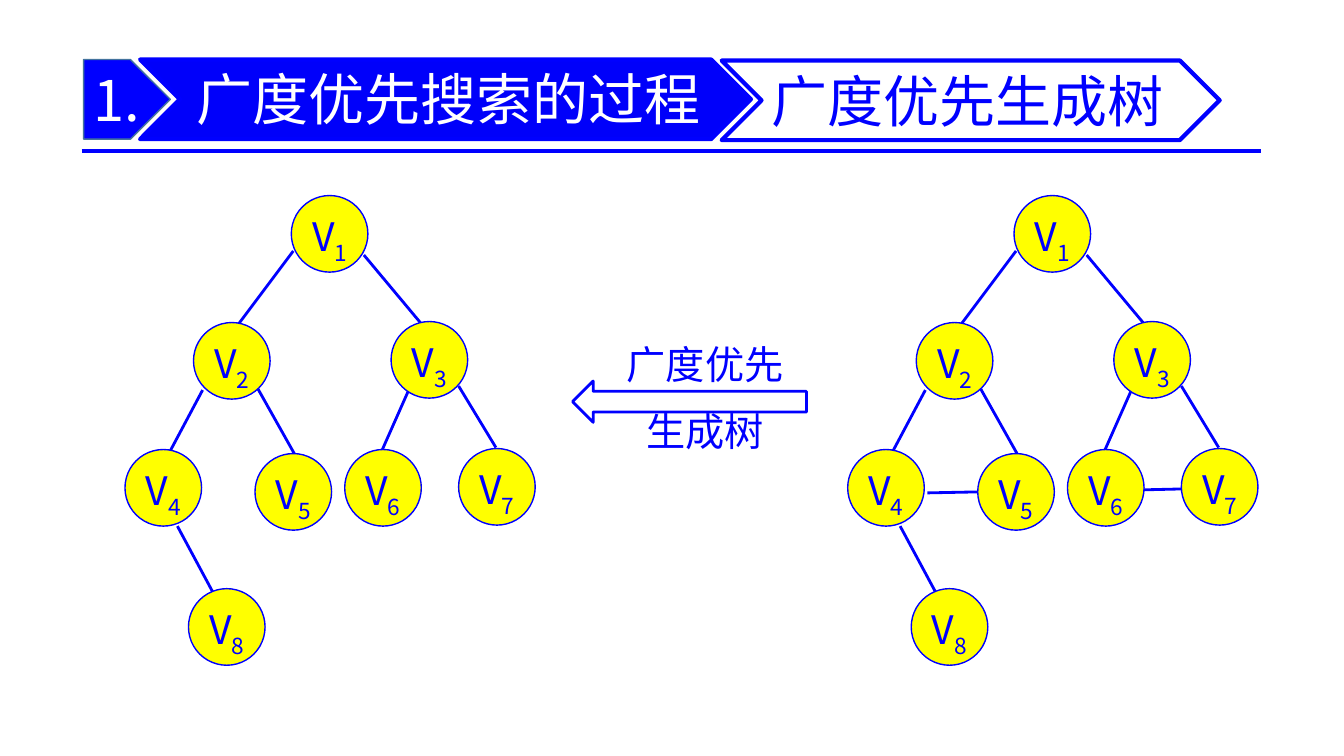
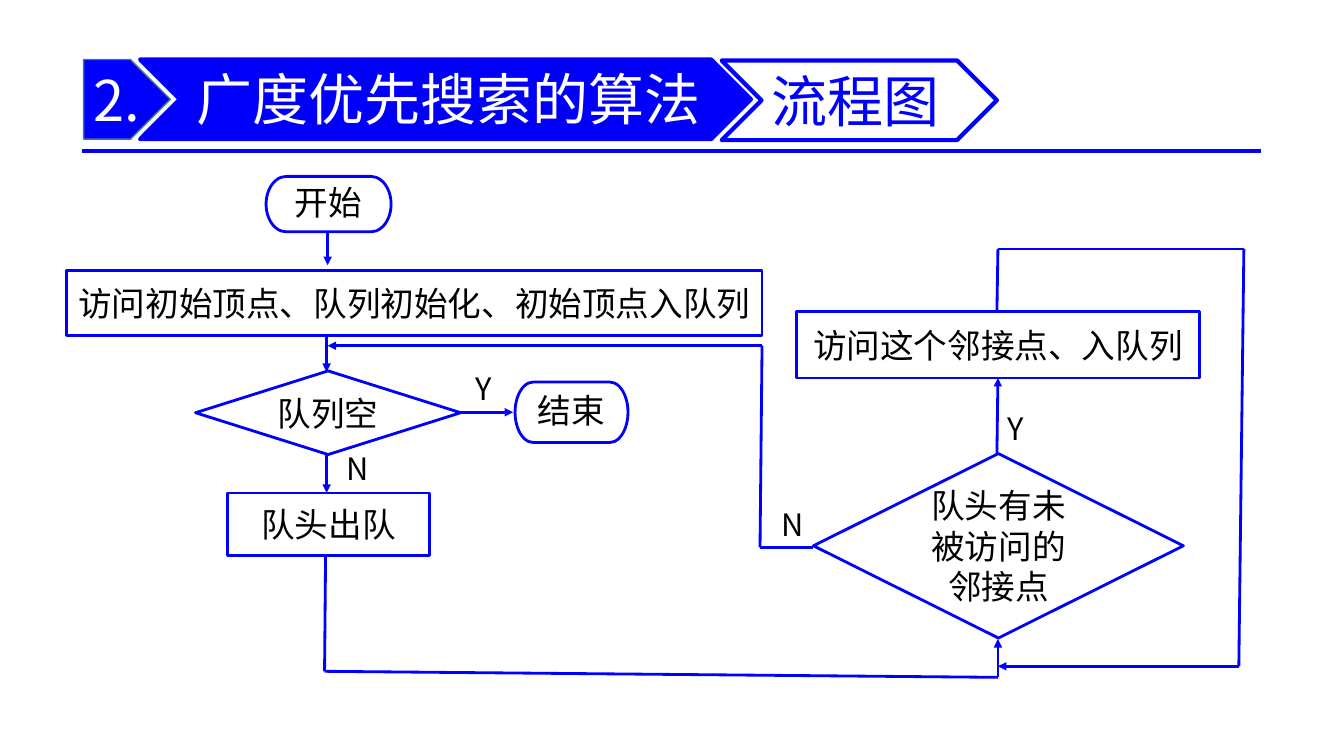
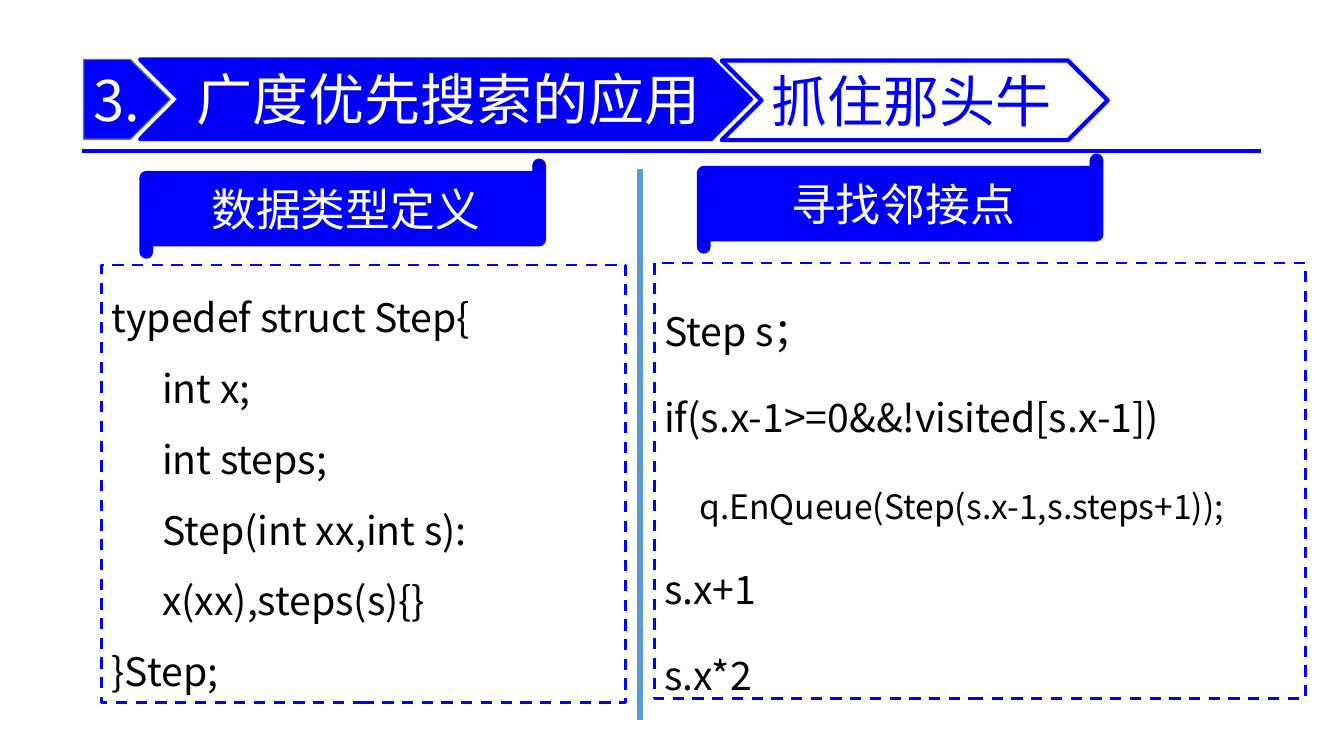
import dataclasses
import itertools
import typing

import lxml.etree
import pptx
import pptx.dml.color
import pptx.enum.dml
import pptx.enum.shapes
import pptx.enum.text
import pptx.oxml.ns
import pptx.util

COLUMNS, ROWS, CELLS_PER_INCH = 133.33, 75, 10
FONT = "Noto Sans CJK SC"
COLORS = {
    "blue": "0000FF",
    "banner": "0000FA",
    "steel": "43739E",
    "divider": "5B9BD5",
    "node": "FFFF00",
    "white": "FFFFFF",
    "black": "000000",
}
PRESET = pptx.enum.shapes.MSO_SHAPE
ALIGN = pptx.enum.text.PP_ALIGN
ANCHOR = pptx.enum.text.MSO_ANCHOR
Point = tuple[float, float]


@dataclasses.dataclass(frozen=True)
class Box:
    col: float
    row: float
    cols: float
    rows: float


@dataclasses.dataclass(frozen=True)
class Look:
    fill: str = "white"
    line: str = "blue"
    width: float = 2
    dashed: bool = False


@dataclasses.dataclass(frozen=True)
class Style:
    size: float
    color: str = "black"
    align: typing.Any = ALIGN.CENTER
    anchor: typing.Any = ANCHOR.MIDDLE
    insets: tuple[float, float, float, float] = (1, 0.5, 1, 0.5)
    spacing: typing.Any = None
    gap: float = 0


@dataclasses.dataclass(frozen=True)
class Line:
    text: str
    indent: float = 0
    size: typing.Optional[float] = None
    subscript: str = ""


@dataclasses.dataclass(frozen=True)
class Header:
    number: str
    title: str
    topic: str
    topic_cols: float


@dataclasses.dataclass(frozen=True)
class Step:
    preset: typing.Any
    box: Box
    text: str
    insets: tuple[float, float, float, float] = (1, 0.5, 1, 0.5)


@dataclasses.dataclass(frozen=True)
class Panel:
    heading: str
    scroll: Box
    frame: Box
    spacing: float
    code: list[Line]


NODES: list[Point] = [
    (28.9, 19.4), (19.2, 32), (38.8, 31.9), (12.4, 44.6),
    (25.3, 45), (34.2, 44.6), (45.5, 44.5), (18.7, 58.4),
]
NODE_SIZE = 7.6
TREE_EDGES: list[tuple[Point, Point]] = [
    ((29.1, 24.9), (23.7, 32.1)),
    ((36.1, 25.3), (41.7, 32)),
    ((20.1, 38.7), (16.8, 44.9)),
    ((25.6, 38.6), (29.2, 45)),
    ((40.5, 38.8), (37.8, 44.9)),
    ((45.5, 38.3), (49.2, 44.4)),
    ((17.6, 52.2), (21.2, 58.9)),
]
SIBLING_EDGES: list[tuple[Point, Point]] = [
    ((20.3, 48.9), (25.3, 48.8)),
    ((41.6, 48.6), (45.8, 48.5)),
]
GRAPH_SHIFT = 71.7

TERMINATOR_INSETS = (1, 0, 1, 0.5)
STEPS = [
    Step(PRESET.FLOWCHART_TERMINATOR, Box(26.4, 17.5, 12.4, 5.5), "开始", TERMINATOR_INSETS),
    Step(PRESET.FLOWCHART_PROCESS, Box(6.6, 26.8, 69, 6.5), "访问初始顶点、队列初始化、初始顶点入队列"),
    Step(PRESET.FLOWCHART_DECISION, Box(19.4, 36.8, 26.3, 8.3), "队列空"),
    Step(PRESET.FLOWCHART_TERMINATOR, Box(51.1, 37.9, 11.2, 6), "结束", TERMINATOR_INSETS),
    Step(PRESET.FLOWCHART_PROCESS, Box(22.6, 48.9, 20, 6.2), "队头出队"),
    Step(PRESET.FLOWCHART_DECISION, Box(80.7, 45, 36.7, 18.3), "队头有未被访问的邻接点"),
    Step(PRESET.FLOWCHART_PROCESS, Box(79, 30.9, 40, 6.6), "访问这个邻接点、入队列"),
]
ROUTES: list[list[Point]] = [
    [(32.5, 23), (32.5, 26.3)],
    [(32.4, 33.1), (32.4, 36.9)],
    [(32.4, 45.1), (32.4, 48.9)],
    [(45.7, 40.9), (50.9, 40.9)],
    [(32.3, 55.1), (32.2, 66.6), (99, 67.2), (99, 63.4)],
    [(98.9, 45.1), (99, 37.5)],
    [(80.7, 54.3), (75.4, 54.3), (75.6, 34.3), (32.5, 34.3)],
    [(98.9, 31), (99, 24.7), (123.4, 24.7), (122.9, 66.1), (99, 66.1)],
]
BRANCHES: list[tuple[str, Point]] = [
    ("N", (33.4, 44.6)), ("Y", (99, 40.6)), ("N", (76.5, 50.2)), ("Y", (46.2, 36.7)),
]

PANELS = [
    Panel("数据类型定义", Box(13.9, 15.8, 40.2, 9.8), Box(10.1, 26.3, 52, 43.4), 50.5, [
        Line("typedef struct Step{"),
        Line("int x;", 5),
        Line("int steps;", 5),
        Line("Step(int xx,int s): x(xx),steps(s){}", 5),
        Line("}Step;"),
    ]),
    Panel("寻找邻接点", Box(69.2, 15.3, 40.2, 9.8), Box(64.9, 26.1, 64.6, 43.2), 61.5, [
        Line("Step s；"),
        Line("if(s.x-1>=0&&!visited[s.x-1])"),
        Line("q.EnQueue(Step(s.x-1,s.steps+1));", 3.5, 24),
        Line("s.x+1"),
        Line("s.x*2"),
    ]),
]


def cells(count: float) -> pptx.util.Length:
    return pptx.util.Inches(count / CELLS_PER_INCH)


def rgb(name: str) -> pptx.dml.color.RGBColor:
    return pptx.dml.color.RGBColor.from_string(COLORS[name])


def place(box: Box) -> tuple:
    return cells(box.col), cells(box.row), cells(box.cols), cells(box.rows)


def write(shape, lines: list[Line], style: Style) -> None:
    frame = shape.text_frame
    frame.word_wrap = True
    frame.auto_size = pptx.enum.text.MSO_AUTO_SIZE.NONE
    frame.vertical_anchor = style.anchor
    frame.margin_left, frame.margin_top, frame.margin_right, frame.margin_bottom = map(
        cells, style.insets
    )
    frame.text = "\n".join(line.text for line in lines)
    for order, (paragraph, line) in enumerate(zip(frame.paragraphs, lines)):
        paragraph.alignment = style.align
        if style.spacing:
            paragraph.line_spacing = style.spacing
        if style.gap and order:
            paragraph.space_before = pptx.util.Pt(style.gap)
        if line.subscript:
            paragraph.add_run().text = line.subscript
        for run in paragraph.runs:
            run.font.name = FONT
            run.font.size = pptx.util.Pt(line.size or style.size)
            run.font.color.rgb = rgb(style.color)
    for properties in shape.element.xpath(".//a:rPr"):
        east_asian = lxml.etree.SubElement(properties, pptx.oxml.ns.qn("a:ea"))
        east_asian.set("typeface", FONT)
    for element, line in zip(shape.element.xpath(".//a:p"), lines):
        if line.indent:
            element.get_or_add_pPr().set("marL", str(cells(line.indent)))
        if line.subscript:
            element.xpath("./a:r/a:rPr")[-1].set("baseline", "-25000")


def draw(slide, preset, box: Box, look: Look = Look()):
    shape = slide.shapes.add_shape(preset, *place(box))
    shape.shadow.inherit = False
    shape.fill.solid()
    shape.fill.fore_color.rgb = rgb(look.fill)
    shape.line.color.rgb = rgb(look.line)
    shape.line.width = pptx.util.Pt(look.width)
    if look.dashed:
        shape.line.dash_style = pptx.enum.dml.MSO_LINE.DASH
    return shape


def connect(slide, start: Point, end: Point, color: str = "blue",
            width: float = 2, arrow: bool = False):
    link = slide.shapes.add_connector(
        pptx.enum.shapes.MSO_CONNECTOR.STRAIGHT, *map(cells, (*start, *end))
    )
    link.line.color.rgb = rgb(color)
    link.line.width = pptx.util.Pt(width)
    if arrow:
        outline = link.element.xpath(".//a:ln")[0]
        lxml.etree.SubElement(outline, pptx.oxml.ns.qn("a:tailEnd")).set("type", "triangle")
    lxml.etree.SubElement(link.element.spPr, pptx.oxml.ns.qn("a:effectLst"))
    return link


def add_headed_slide(deck, header: Header):
    layout = deck.slide_layouts[5]
    slide = deck.slides.add_slide(layout)
    if len(deck.slides) == 1:
        rule = connect(slide, (8.1, 15), (125.1, 15), width=3)
        layout.shapes.element.append(rule.element)

    number = draw(slide, PRESET.PENTAGON, Box(8.3, 5.9, 8.6, 7.9), Look("blue", "steel", 1))
    write(number, [Line(header.number)],
          Style(40, "white", ALIGN.LEFT, insets=(1, 0.5, 0, 0.5)))

    draw(slide, PRESET.CHEVRON, Box(13.9, 5.9, 60.6, 7.9), Look("banner", width=3))
    title = slide.shapes.title
    title.left, title.top, title.width, title.height = place(Box(19.1, 4.3, 52, 10.8))
    write(title, [Line(header.title)],
          Style(40, "white", ALIGN.LEFT, insets=(0.4, 0.2, 0, 0.2)))
    slide.shapes.element.append(title.element)

    topic = draw(slide, PRESET.CHEVRON, Box(71.6, 6, header.topic_cols, 7.9), Look(width=3))
    write(topic, [Line(header.topic)], Style(40, "blue", ALIGN.LEFT))
    return slide


def draw_graph(slide, edges: list[tuple[Point, Point]], shift: float = 0) -> None:
    for (start_col, start_row), (end_col, end_row) in edges:
        connect(slide, (start_col + shift, start_row), (end_col + shift, end_row))
    for number, (col, row) in enumerate(NODES, start=1):
        vertex = draw(slide, PRESET.OVAL, Box(col + shift, row, NODE_SIZE, NODE_SIZE),
                      Look("node", width=1))
        write(vertex, [Line("V", subscript=str(number))],
              Style(28, "blue", insets=(0, 1.2, 0, 0), spacing=0.72))


def build_spanning_tree(deck) -> None:
    slide = add_headed_slide(deck, Header("1.", "广度优先搜索的过程", "广度优先生成树", 49.4))
    draw(slide, PRESET.LEFT_ARROW, Box(56.8, 37.8, 23.2, 4.1))
    caption = slide.shapes.add_textbox(*place(Box(59.9, 33.2, 20.1, 12.8)))
    write(caption, [Line("广度优先"), Line("生成树")],
          Style(28, "blue", anchor=ANCHOR.TOP, spacing=pptx.util.Pt(34), gap=14))
    draw_graph(slide, TREE_EDGES)
    draw_graph(slide, TREE_EDGES + SIBLING_EDGES, GRAPH_SHIFT)


def build_flowchart(deck) -> None:
    slide = add_headed_slide(deck, Header("2.", "广度优先搜索的算法", "流程图", 27.3))
    for step in STEPS:
        write(draw(slide, step.preset, step.box), [Line(step.text)],
              Style(24, insets=step.insets, spacing=pptx.util.Pt(29)))
    for route in ROUTES:
        for start, end in itertools.pairwise(route):
            connect(slide, start, end, arrow=end == route[-1])
    for answer, (col, row) in BRANCHES:
        branch = slide.shapes.add_textbox(*place(Box(col, row, 8.4, 3.7)))
        write(branch, [Line(answer)], Style(22, align=ALIGN.LEFT))


def build_application(deck) -> None:
    slide = add_headed_slide(deck, Header("3.", "广度优先搜索的应用", "抓住那头牛", 38.3))
    connect(slide, (63.5, 16.8), (63.5, 71.4), "divider", 4)
    for panel in PANELS:
        listing = draw(slide, PRESET.RECTANGLE, panel.frame, Look(dashed=True))
        write(listing, panel.code,
              Style(28, align=ALIGN.LEFT, anchor=ANCHOR.TOP,
                    spacing=pptx.util.Pt(panel.spacing)))
        heading = draw(slide, PRESET.HORIZONTAL_SCROLL, panel.scroll, Look("blue", width=1))
        write(heading, [Line(panel.heading)], Style(32, "white"))


def main() -> None:
    deck = pptx.Presentation()
    deck.slide_width = cells(COLUMNS)
    deck.slide_height = cells(ROWS)
    build_spanning_tree(deck)
    build_flowchart(deck)
    build_application(deck)
    deck.save("out.pptx")


if __name__ == "__main__":
    main()
